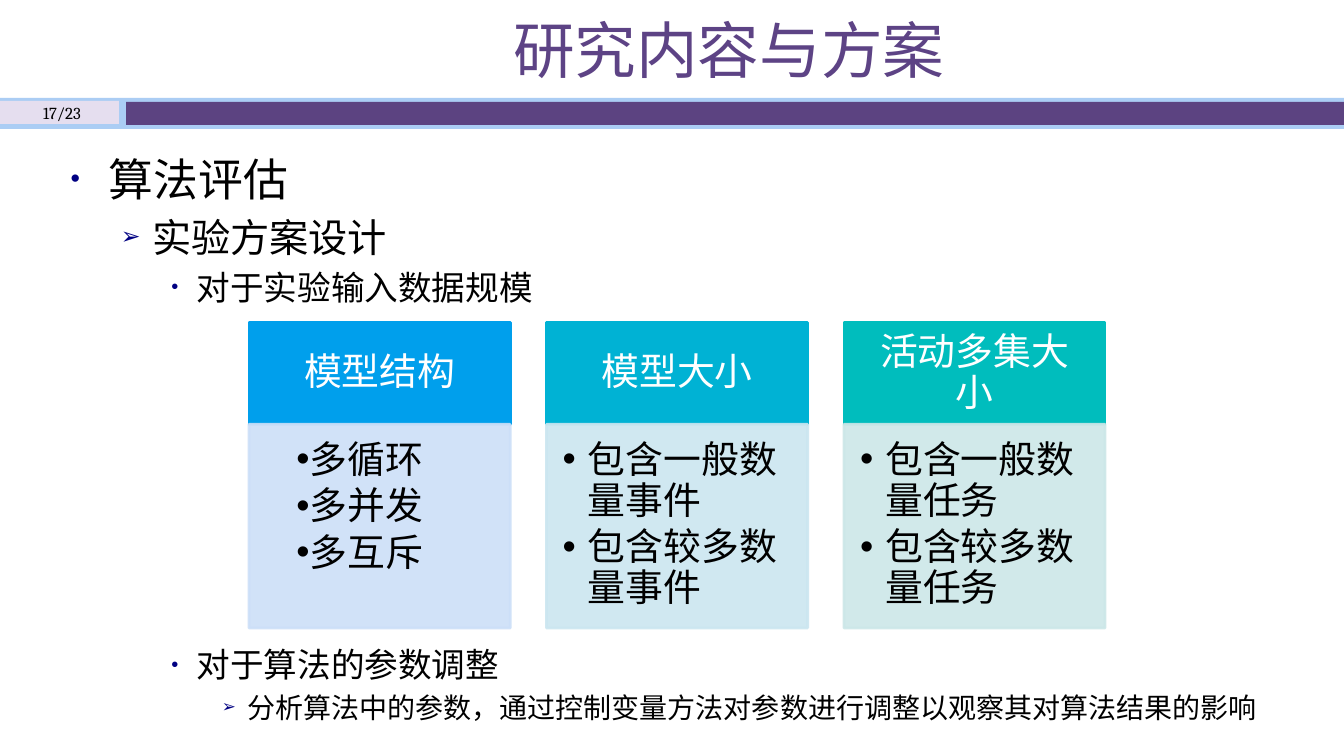
from dataclasses import dataclass

import pptx
import pptx.dml.color
import pptx.enum.shapes
import pptx.enum.text
import pptx.oxml.ns
import pptx.oxml.xmlchemy
import pptx.util
from lxml import etree

Inches = pptx.util.Inches
Pt = pptx.util.Pt
qn = pptx.oxml.ns.qn
ALIGN = pptx.enum.text.PP_ALIGN
ANCHOR = pptx.enum.text.MSO_ANCHOR
CJK = "Noto Sans CJK SC"
BLACK = "000000"
WHITE = "FFFFFF"


@dataclass(frozen=True)
class Band:
    left: float
    top: float
    width: float
    height: float
    color: str


@dataclass(frozen=True)
class Level:
    size: int
    margin: float
    indent: float
    bullet: str


@dataclass(frozen=True)
class Entry:
    level: int
    text: str


@dataclass(frozen=True)
class Card:
    heading: str
    points: tuple[str, ...]
    strong: str
    pale: str
    margin: float
    indent: float


LEVELS = (
    Level(32, 0.38, -0.38, "•"),
    Level(28, 0.81, -0.31, "➢"),
    Level(24, 1.25, -0.25, "•"),
    Level(20, 1.75, -0.25, "➢"),
)
BANDS = (
    Band(0, 0.97, 13.33, 0.31, "ABCDF4"),
    Band(0, 1, 1.18, 0.23, "E5DEEF"),
    Band(1.25, 1.01, 12.08, 0.23, "5C4381"),
)
EVALUATION = (
    Entry(0, "算法评估"),
    Entry(1, "实验方案设计"),
    Entry(2, "对于实验输入数据规模"),
)
TUNING = (
    Entry(2, "对于算法的参数调整"),
    Entry(3, "分析算法中的参数，通过控制变量方法对参数进行调整以观察其对算法结果的影响"),
)
CARDS = (
    Card("模型结构", ("多循环", "多并发", "多互斥"), "009FEC", "CCDFF8", 0.31, 0),
    Card("模型大小", ("包含一般数量事件", "包含较多数量事件"), "00B2D4", "CBE6F0", 0.25, -0.25),
    Card("活动多集大小", ("包含一般数量任务", "包含较多数量任务"), "00BDBD", "CCE7E8", 0.25, -0.25),
)
CARD_LEFT, CARD_TOP, CARD_STEP, CARD_WIDTH = 2.47, 3.2, 2.95, 2.59
HEADING_HEIGHT, POINTS_HEIGHT = 1.01, 2.02
CARD_SIZE = 27


def rgb(color: str) -> pptx.dml.color.RGBColor:
    return pptx.dml.color.RGBColor.from_string(color)


def place(item, left: float, top: float, width: float, height: float) -> None:
    item.left, item.top = Inches(left), Inches(top)
    item.width, item.height = Inches(width), Inches(height)


def style(paragraph, size: float, color: str, face: str = CJK) -> None:
    for run in paragraph.runs:
        run.font.size = Pt(size)
        run.font.color.rgb = rgb(color)
        run.font.name = face
        etree.SubElement(run.font._element, qn("a:ea")).set("typeface", CJK)


def add_bullet(paragraph, char: str, margin: float, indent: float, color: str, percent: int) -> None:
    properties = paragraph._p.get_or_add_pPr()
    properties.set("marL", str(Inches(margin)))
    properties.set("indent", str(Inches(indent)))
    tint = etree.SubElement(properties, qn("a:buClr"))
    etree.SubElement(tint, qn("a:srgbClr")).set("val", color)
    etree.SubElement(properties, qn("a:buSzPct")).set("val", str(percent * 1000))
    etree.SubElement(properties, qn("a:buFont")).set("typeface", "Arial")
    etree.SubElement(properties, qn("a:buChar")).set("char", char)


def set_insets(frame, left: float, top: float, right: float, bottom: float) -> None:
    frame.margin_left, frame.margin_top = Inches(left), Inches(top)
    frame.margin_right, frame.margin_bottom = Inches(right), Inches(bottom)


def add_block(slide, block: Band):
    shape = slide.shapes.add_shape(
        pptx.enum.shapes.MSO_SHAPE.RECTANGLE,
        Inches(block.left), Inches(block.top), Inches(block.width), Inches(block.height),
    )
    shape.shadow.inherit = False
    shape.fill.solid()
    shape.fill.fore_color.rgb = rgb(block.color)
    shape.line.fill.background()
    return shape


def outline(shape, color: str) -> None:
    shape.line.color.rgb = rgb(color)
    shape.line.width = Pt(2)


def fill_outline(placeholder, entries: tuple[Entry, ...], top: float, height: float) -> None:
    place(placeholder, 0.6, top, 12, height)
    frame = placeholder.text_frame
    frame.text = "\n".join(entry.text for entry in entries)
    frame.auto_size = pptx.enum.text.MSO_AUTO_SIZE.NONE
    for paragraph, entry in zip(frame.paragraphs, entries):
        level = LEVELS[entry.level]
        paragraph.level = entry.level
        paragraph.space_before = Pt(level.size * 0.2)
        add_bullet(paragraph, level.bullet, level.margin, level.indent, "000082", 60)
        style(paragraph, level.size, BLACK)


def add_card(slide, card: Card, left: float) -> None:
    heading = add_block(slide, Band(left, CARD_TOP, CARD_WIDTH, HEADING_HEIGHT, card.strong))
    outline(heading, card.strong)
    set_insets(heading.text_frame, 0.21, 0.12, 0.21, 0.12)
    heading.text_frame.text = card.heading
    title = heading.text_frame.paragraphs[0]
    title.alignment = ALIGN.CENTER
    title.line_spacing = 0.9
    style(title, CARD_SIZE, WHITE)

    points = add_block(
        slide, Band(left, CARD_TOP + HEADING_HEIGHT, CARD_WIDTH, POINTS_HEIGHT, card.pale)
    )
    outline(points, card.pale)
    for tint in points._element.spPr.iter(qn("a:srgbClr")):
        etree.SubElement(tint, qn("a:alpha")).set("val", "90000")
    frame = points.text_frame
    frame.vertical_anchor = ANCHOR.TOP
    set_insets(frame, 0.16, 0.16, 0.21, 0.24)
    frame.text = "\n".join(card.points)
    for paragraph in frame.paragraphs:
        paragraph.level = 1
        paragraph.alignment = ALIGN.LEFT
        paragraph.line_spacing = 0.9
        paragraph.space_after = Pt(CARD_SIZE * 0.15)
        add_bullet(paragraph, "•", card.margin, card.indent, BLACK, 100)
        style(paragraph, CARD_SIZE, BLACK)


def add_page_number(slide, text: str) -> None:
    number = slide.shapes.add_textbox(Inches(0), Inches(0.96), Inches(1.23), Inches(0.31))
    number.text_frame.word_wrap = True
    number.text_frame.vertical_anchor = ANCHOR.MIDDLE
    number.text_frame.text = text
    number.text_frame.paragraphs[0].alignment = ALIGN.CENTER
    style(number.text_frame.paragraphs[0], 12, BLACK, "Cambria")


def main() -> None:
    deck = pptx.Presentation()
    deck.slide_width, deck.slide_height = Inches(13.33), Inches(7.5)
    slide = deck.slides.add_slide(deck.slide_layouts.get_by_name("Two Content"))
    for band in BANDS:
        add_block(slide, band)

    heading = slide.shapes.title
    place(heading, 1.23, 0.03, 12, 0.9)
    heading.text_frame.text = "研究内容与方案"
    heading.text_frame.auto_size = pptx.enum.text.MSO_AUTO_SIZE.NONE
    heading.text_frame.vertical_anchor = ANCHOR.MIDDLE
    heading.text_frame.paragraphs[0].alignment = ALIGN.CENTER
    style(heading.text_frame.paragraphs[0], 44, "5D4385", "Calibri")

    fill_outline(slide.placeholders[1], EVALUATION, 1.45, 5.86)
    add_page_number(slide, "17/23")
    for index, card in enumerate(CARDS):
        add_card(slide, card, CARD_LEFT + index * CARD_STEP)
    fill_outline(slide.placeholders[2], TUNING, 6.34, 1.43)
    deck.save("out.pptx")


if __name__ == "__main__":
    main()
